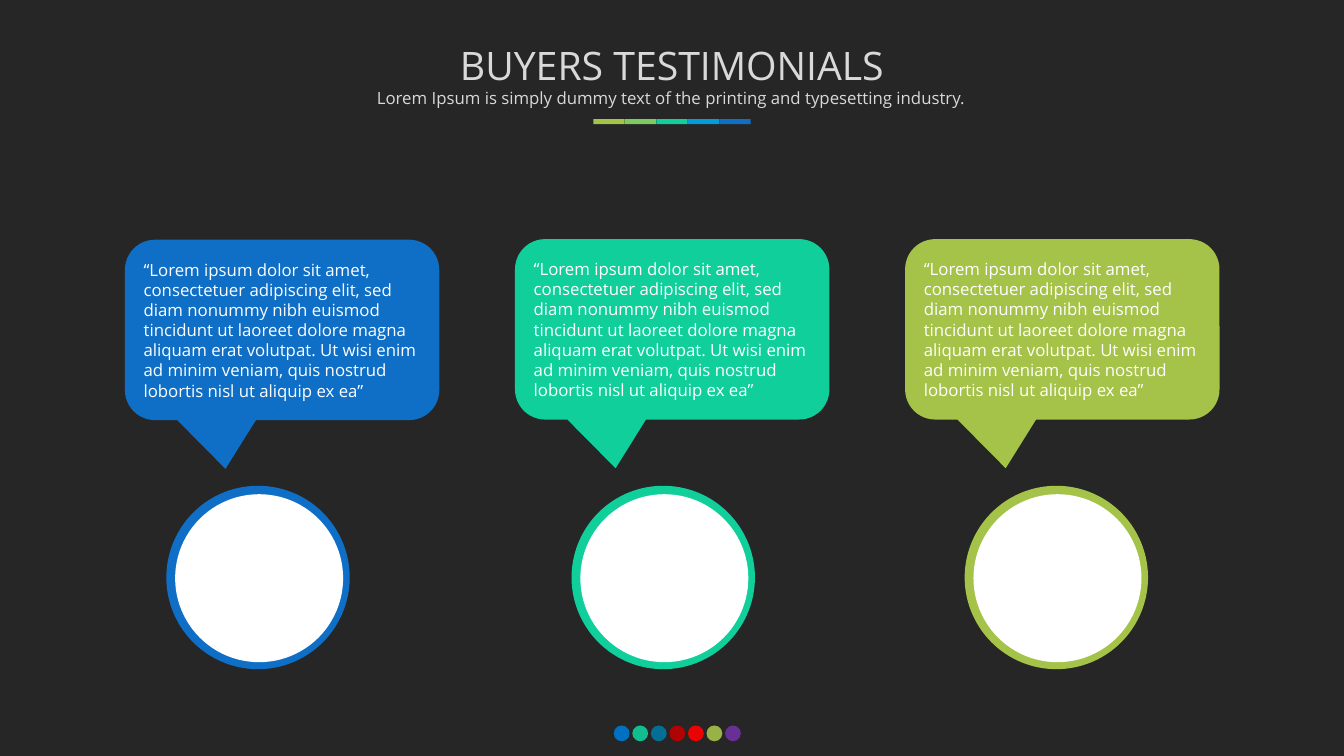
import pptx
import pptx.dml.color
import pptx.enum.shapes
import pptx.enum.text
import pptx.oxml.ns
import pptx.util
from lxml import etree

Pt = pptx.util.Pt
SHAPE = pptx.enum.shapes.MSO_SHAPE
ALIGN = pptx.enum.text.PP_ALIGN
ANCHOR = pptx.enum.text.MSO_ANCHOR

COLOURS = {
    "background": "262626", "heading": "D9D9D9", "white": "FFFFFF",
    "blue": "0F6FC6", "sky": "009DD9", "teal": "10CF9B",
    "green": "7CCA62", "olive": "A5C249",
    "dot blue": "0070C0", "petrol": "0076A3", "dark red": "C00000",
    "red": "FF0000", "purple": "7030A0",
}
QUOTE = (
    "“Lorem ipsum dolor sit amet, consectetuer adipiscing elit, sed diam "
    "nonummy nibh euismod tincidunt ut laoreet dolore magna aliquam erat "
    "volutpat. Ut wisi enim ad minim veniam, quis nostrud lobortis nisl ut "
    "aliquip ex ea”"
)
# Colour, callout top, portrait left
TESTIMONIALS = [
    ("blue", 171.2, 118.8),
    ("teal", 170.8, 408.24),
    ("olive", 170.8, 689.04),
]
ACCENT_BAR = ["olive", "green", "teal", "sky", "blue"]
FOOTER_DOTS = ["dot blue", "teal", "petrol", "dark red", "red", "olive", "purple"]


def rgb(colour):
    return pptx.dml.color.RGBColor.from_string(COLOURS[colour])


def add_filled(slide, preset, left, top, width, height, colour, opacity=100):
    """Add a preset shape with a plain fill, no line and no shadow."""
    filled = slide.shapes.add_shape(preset, Pt(left), Pt(top), Pt(width), Pt(height))
    filled.shadow.inherit = False
    filled.fill.solid()
    filled.fill.fore_color.rgb = rgb(colour)
    filled.line.fill.background()
    if opacity < 100:
        solid = filled.fill._xPr.find(pptx.oxml.ns.qn("a:solidFill"))
        alpha = etree.SubElement(solid[0], pptx.oxml.ns.qn("a:alpha"))
        alpha.set("val", str(opacity * 1000))
    return filled


def write(frame, text, size, colour, align, anchor):
    frame.word_wrap = True
    frame.vertical_anchor = anchor
    frame.text = text
    paragraph = frame.paragraphs[0]
    paragraph.alignment = align
    font = paragraph.runs[0].font
    font.name = "Open Sans"
    font.size = Pt(size)
    font.color.rgb = rgb(colour)


def add_heading(slide, text, left, top, width, height, size, anchor):
    heading = slide.shapes.add_textbox(Pt(left), Pt(top), Pt(width), Pt(height))
    write(heading.text_frame, text, size, "heading", ALIGN.CENTER, anchor)


def add_portrait(slide, left, colour):
    """Add a coloured ring around a white disc."""
    add_filled(slide, SHAPE.OVAL, left, 347, 131, 131, colour)
    add_filled(slide, SHAPE.OVAL, left + 6.3, 353, 120, 120, "white")


def add_callout(slide, left, top, colour):
    callout = add_filled(slide, SHAPE.ROUNDED_RECTANGULAR_CALLOUT,
                         left, top, 224.6, 128.9, colour)
    for index, value in enumerate((-0.18, 0.77, 0.167)):
        callout.adjustments[index] = value
    write(callout.text_frame, QUOTE, 12, "white", ALIGN.LEFT, ANCHOR.MIDDLE)


def add_row(slide, preset, colours, left, top, step, width, height, opacity=100):
    """Add equally spaced shapes, one for each colour."""
    for index, colour in enumerate(colours):
        shade = 100 if index == 0 else opacity
        add_filled(slide, preset, left + index * step, top, width, height, colour, shade)


def main():
    deck = pptx.Presentation()
    deck.slide_width, deck.slide_height = Pt(960), Pt(540)
    slide = deck.slides.add_slide(deck.slide_layouts[6])
    slide.background.fill.solid()
    slide.background.fill.fore_color.rgb = rgb("background")

    add_row(slide, SHAPE.OVAL, FOOTER_DOTS, 438.4, 518.2, 13.25, 11.3, 11.3, opacity=90)
    for index, (colour, callout_top, portrait_left) in enumerate(TESTIMONIALS):
        add_portrait(slide, portrait_left, colour)
        add_callout(slide, 89.2 + index * 278.65, callout_top, colour)

    add_heading(slide, "BUYERS TESTIMONIALS",
                195.1, 28.8, 569.5, 35.3, 28, ANCHOR.MIDDLE)
    add_heading(slide, "Lorem Ipsum is simply dummy text of the printing and typesetting industry.",
                236.9, 59, 485.3, 21.8, 12, ANCHOR.TOP)
    add_row(slide, SHAPE.RECTANGLE, ACCENT_BAR, 423.9, 85, 22.5, 22.4, 3.6)

    deck.save("out.pptx")


if __name__ == "__main__":
    main()
